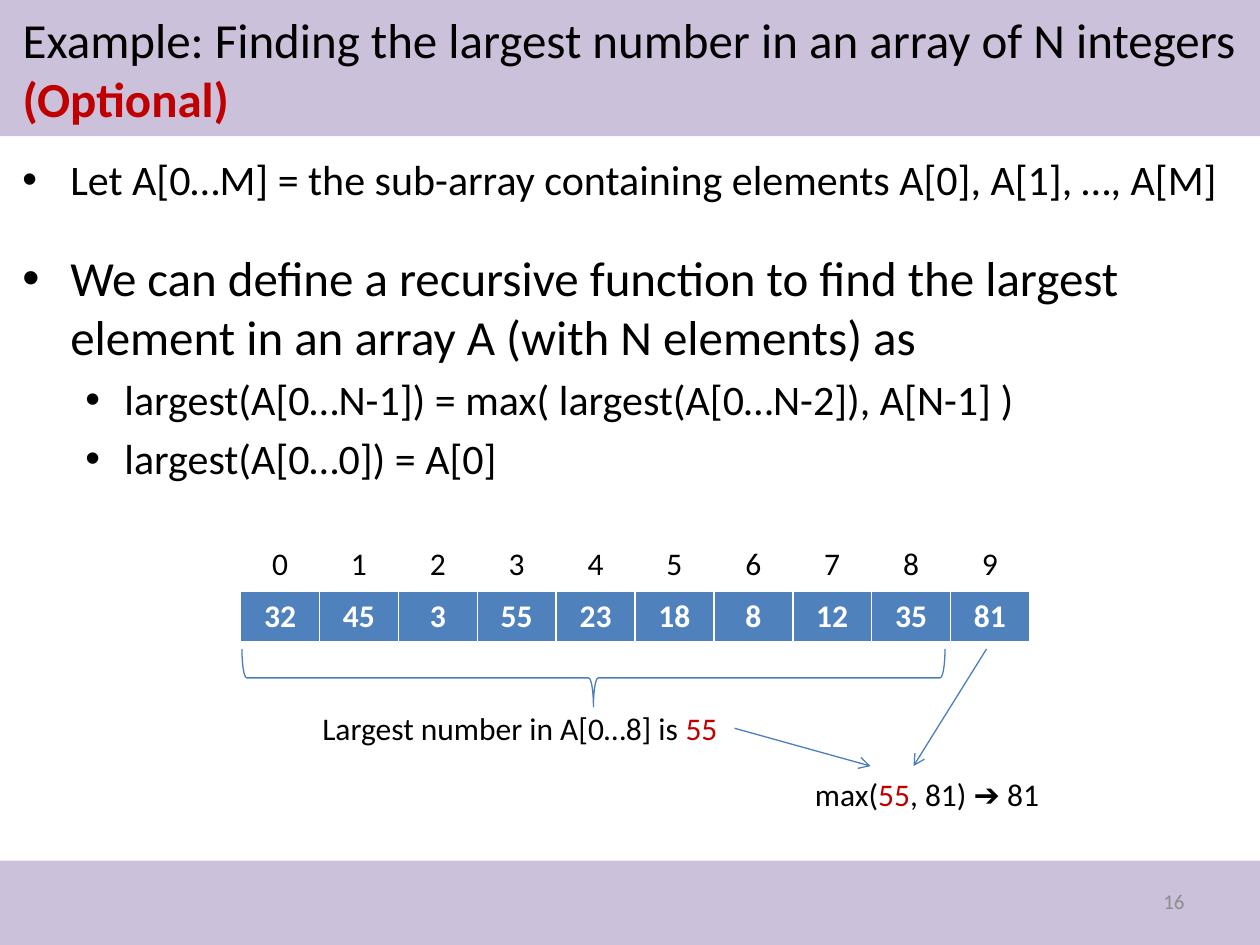
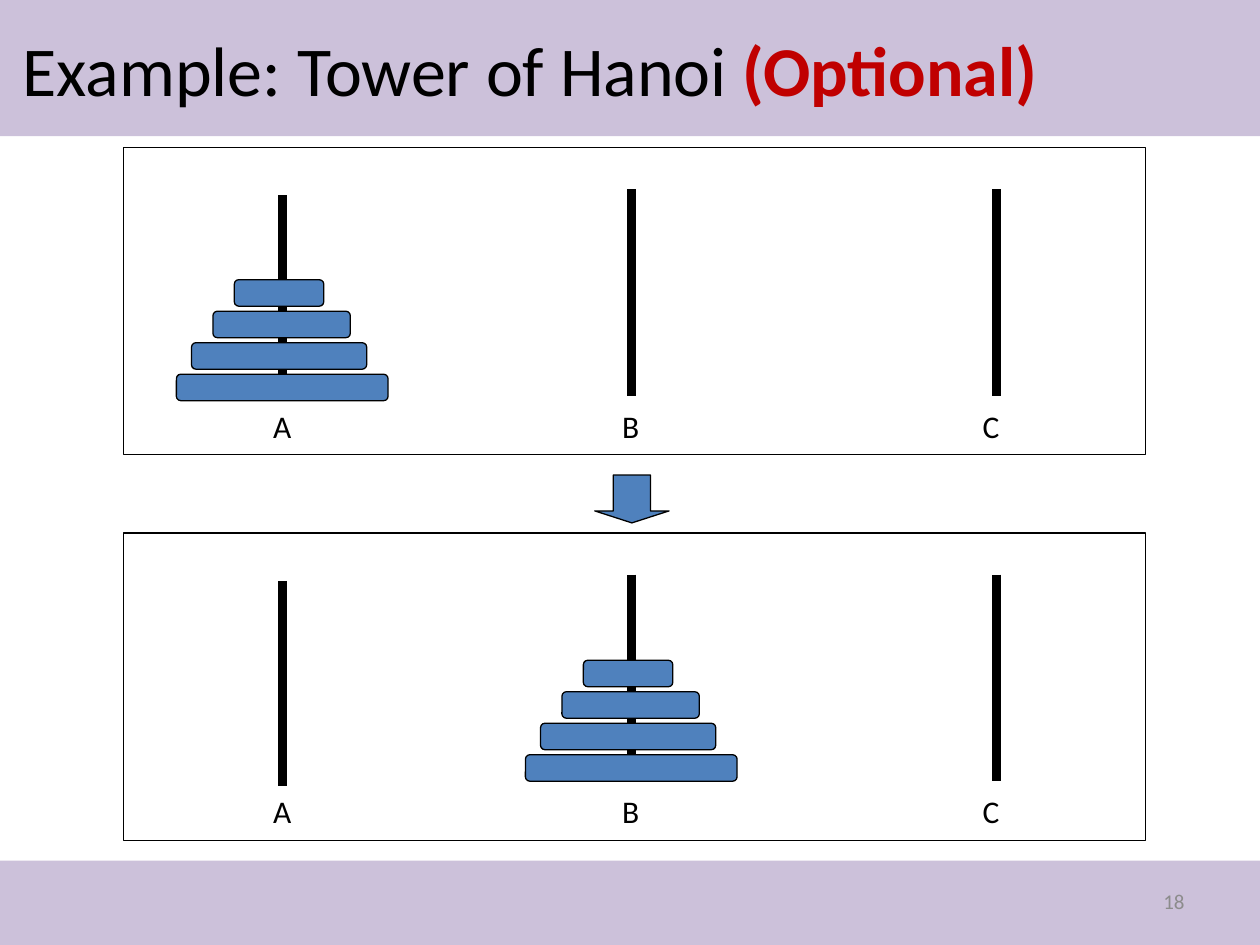
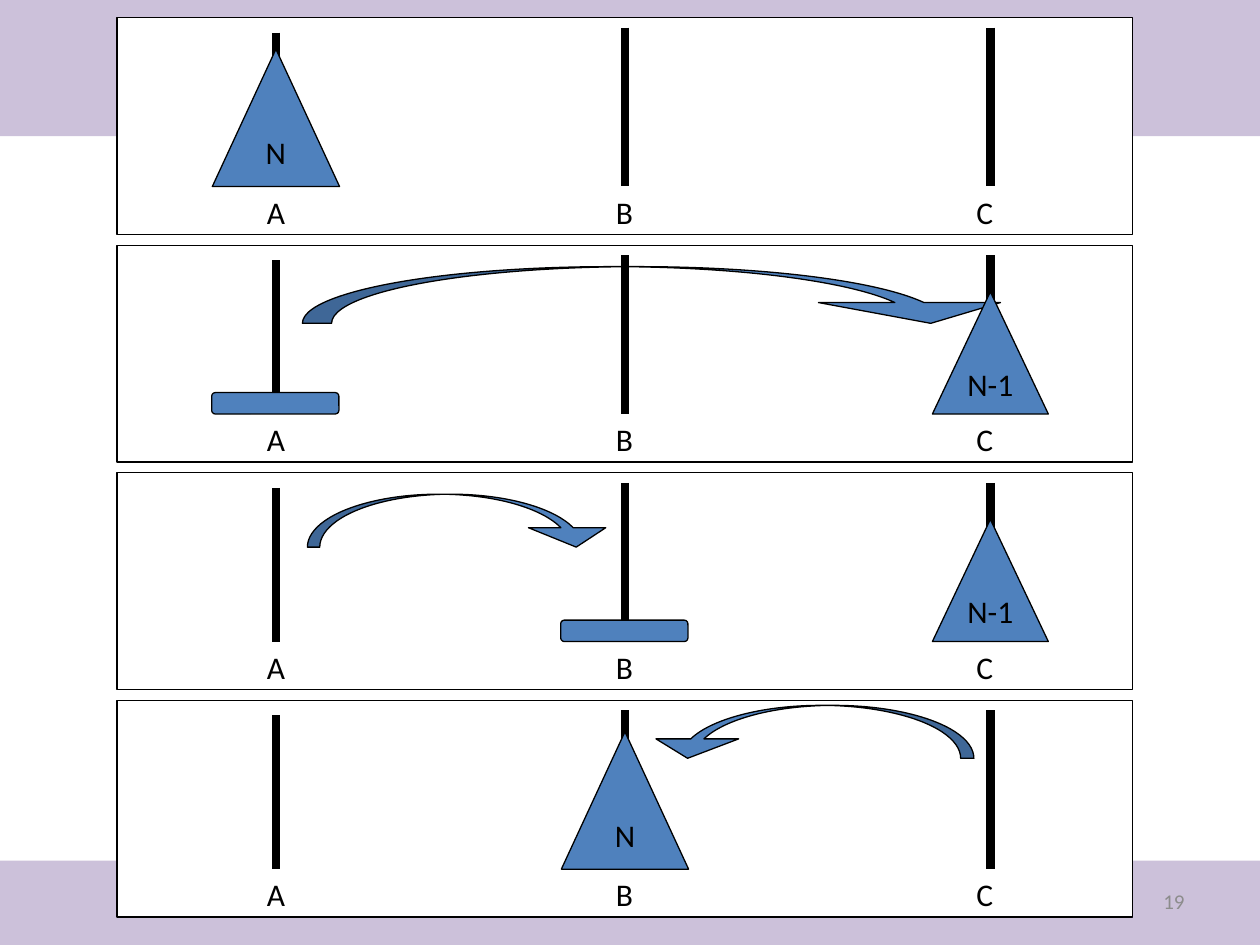
from dataclasses import dataclass
from typing import Any, NamedTuple, Optional

from lxml import etree
from pptx import Presentation
from pptx import util as u
from pptx.dml.color import RGBColor
from pptx.enum import shapes, text
from pptx.oxml.ns import qn

BLACK = RGBColor(0x00, 0x00, 0x00)
WHITE = RGBColor(0xFF, 0xFF, 0xFF)
LILAC = RGBColor(0xCC, 0xC1, 0xDA)
BLUE = RGBColor(0x4F, 0x81, 0xBD)
LINE_BLUE = RGBColor(0x4B, 0x7E, 0xBC)
RED = RGBColor(0xC0, 0x00, 0x00)
GREY = RGBColor(0x8C, 0x8C, 0x8C)

FONT = "Calibri"
THIN = 0.75
KIND = shapes.MSO_SHAPE
TITLE_ONLY, BLANK = 5, 6
PEG_NAMES = "ABC"
PEG_X = (1.26, 4.03, 6.93)
LABEL_X = (1.09, 3.86, 6.72)


class Box(NamedTuple):
    left: float
    top: float
    width: float
    height: float

    def lengths(self) -> list:
        return [u.Inches(value) for value in self]


class Span(NamedTuple):
    content: str
    color: RGBColor = BLACK
    bold: bool = False


class Bullet(NamedTuple):
    content: str
    size: int
    before: float
    margin: float
    hang: float


class Disk(NamedTuple):
    offset: float
    width: float


@dataclass
class Stage:
    frame: Box
    peg_tops: tuple
    peg_bottoms: tuple
    label_top: float
    fill: Optional[RGBColor] = None

    def peg_x(self, peg: str) -> float:
        return self.frame.left + PEG_X[PEG_NAMES.index(peg)]


@dataclass
class Move:
    pile: Optional[tuple] = None
    disk: Optional[str] = None
    arrow: Optional[Box] = None
    bends: tuple = ()
    flipped: bool = False


BANDS = (Box(0, 0, 10, 1.08), Box(0, 6.83, 10, 0.67))
BULLETS = (
    Bullet("Let A[0…M] = the sub-array containing elements A[0], A[1], …, A[M]", 24, 4.8, 0.38, 0.38),
    Bullet("We can define a recursive function to find the largest element in an array A (with N elements) as",
           28, 25, 0.38, 0.38),
    Bullet("largest(A[0…N-1]) = max( largest(A[0…N-2]), A[N-1] )", 24, 4.8, 0.81, 0.31),
    Bullet("largest(A[0…0]) = A[0]", 24, 4.8, 0.81, 0.31),
)
NUMBERS = (32, 45, 3, 55, 23, 18, 8, 12, 35, 81)
DISKS = (Disk(-0.38, 0.71), Disk(-0.55, 1.09), Disk(-0.72, 1.39), Disk(-0.84, 1.68))
PILE_SIZES = {"N": (1.01, 1.09), "N-1": (0.92, 0.97)}
MOVES = (
    Move(pile=("N", "A")),
    Move(pile=("N-1", "C"), disk="A", arrow=Box(2.4, 0.17, 5.71, 0.45), bends=(0.515, 3.212, 0.366)),
    Move(pile=("N-1", "C"), disk="B", arrow=Box(2.44, 0.17, 2.44, 0.42), bends=(0.234, 1.46, 0.366)),
    Move(pile=("N", "B"), arrow=Box(5.13, 0.04, 2.6, 0.42), bends=(0.25, 1.561, 0.366), flipped=True),
)


def write_spans(para: Any, spans: tuple, size: int) -> None:
    for span in spans:
        run = para.add_run()
        run.text = span.content
        run.font.color.rgb = span.color
        formats = {"name": FONT, "size": u.Pt(size), "bold": span.bold}
        for name, value in formats.items():
            setattr(run.font, name, value)


def format_frame(frame: Any, **formats: Any) -> Any:
    for name, value in formats.items():
        setattr(frame, name, value)
    return frame.paragraphs[0]


def add_label(page: Any, box: Box, *spans: Span) -> Any:
    label = page.shapes.add_textbox(*box.lengths())
    para = format_frame(label.text_frame, word_wrap=False,
                        auto_size=text.MSO_AUTO_SIZE.SHAPE_TO_FIT_TEXT)
    write_spans(para, spans, 18)
    return label


def add_shape(page: Any, kind: Any, box: Box, fill: Optional[RGBColor] = BLUE,
              line: Optional[RGBColor] = BLACK) -> Any:
    shape = page.shapes.add_shape(kind, *box.lengths())
    shape.shadow.inherit = False
    if fill is None:
        shape.fill.background()
    else:
        shape.fill.solid()
        shape.fill.fore_color.rgb = fill
    if line is None:
        shape.line.fill.background()
    else:
        shape.line.color.rgb = line
        shape.line.width = u.Pt(THIN)
    return shape


def add_line(page: Any, start: tuple, end: tuple, color: RGBColor, width: float, arrow: bool = False) -> Any:
    points = [u.Inches(value) for value in start + end]
    line = page.shapes.add_connector(shapes.MSO_CONNECTOR.STRAIGHT, *points)
    line.line.color.rgb = color
    line.line.width = u.Pt(width)
    properties = line.element.spPr
    if arrow:
        etree.SubElement(properties.find(qn("a:ln")), qn("a:tailEnd"), type="arrow")
    etree.SubElement(properties, qn("a:effectLst"))
    return line


def add_bands(deck: Any, page: Any) -> None:
    for index, box in enumerate(BANDS):
        band = add_shape(page, KIND.RECTANGLE, box, LILAC, None)
        band.element.nvSpPr.cNvPr.id = 20 + index
        deck.slide_master.shapes.element.insert(2 + index, band.element)


def add_page_number(page: Any, number: int) -> None:
    box = page.shapes.add_textbox(*Box(7.17, 6.95, 2.33, 0.4).lengths())
    para = format_frame(box.text_frame, word_wrap=True, vertical_anchor=text.MSO_ANCHOR.MIDDLE)
    para.alignment = text.PP_ALIGN.RIGHT
    write_spans(para, (Span(str(number), GREY),), 12)


def set_title(page: Any, content: str, size: int) -> None:
    title = page.shapes.title
    for name, value in zip(("left", "top", "width", "height"), Box(0.08, 0.08, 9.84, 0.92).lengths()):
        setattr(title, name, value)
    para = format_frame(title.text_frame, word_wrap=True, auto_size=text.MSO_AUTO_SIZE.NONE,
                        vertical_anchor=text.MSO_ANCHOR.MIDDLE)
    para.alignment = text.PP_ALIGN.LEFT
    write_spans(para, (Span(content), Span("(Optional)", RED, True)), size)


def add_bullets(page: Any) -> None:
    frame = page.shapes.add_textbox(*Box(0.08, 1.17, 9.77, 3.42).lengths()).text_frame
    para = format_frame(frame, word_wrap=True)
    for index, bullet in enumerate(BULLETS):
        if index:
            para = frame.add_paragraph()
        para.space_before = u.Pt(bullet.before)
        write_spans(para, (Span(bullet.content),), bullet.size)
        properties = para._p.get_or_add_pPr()
        properties.set("marL", str(u.Inches(bullet.margin)))
        properties.set("indent", str(-u.Inches(bullet.hang)))
        etree.SubElement(properties, qn("a:buFont"), typeface="Arial")
        etree.SubElement(properties, qn("a:buChar"), char="•")


def add_array(page: Any, top: float, values: Any, fill: RGBColor, color: RGBColor, header: bool) -> None:
    box = Box(1.91, top, 6.26, 0.4)
    table = page.shapes.add_table(1, len(values), *box.lengths()).table
    table.first_row = header
    table.horz_banding = False
    for column, cell, value in zip(table.columns, table.rows[0].cells, values):
        column.width = u.Inches(box.width / len(values))
        cell.fill.solid()
        cell.fill.fore_color.rgb = fill
        para = cell.text_frame.paragraphs[0]
        para.alignment = text.PP_ALIGN.CENTER
        write_spans(para, (Span(str(value), color, header),), 18)


def add_stage(page: Any, stage: Stage) -> None:
    add_shape(page, KIND.RECTANGLE, stage.frame, stage.fill)
    left, top = stage.frame.left, stage.frame.top
    for name, label_x, peg_top, peg_bottom in zip(PEG_NAMES, LABEL_X, stage.peg_tops, stage.peg_bottoms):
        x = stage.peg_x(name)
        add_line(page, (x, top + peg_top), (x, top + peg_bottom), BLACK, 5)
        add_label(page, Box(left + label_x, top + stage.label_top, 0.37, 0.4), Span(name))


def add_tower(page: Any, peg_x: float, top: float) -> None:
    for index, disk in enumerate(DISKS):
        add_shape(page, KIND.ROUNDED_RECTANGLE,
                  Box(peg_x + disk.offset, top + 0.25 * index, disk.width, 0.21))


def add_move(page: Any, stage: Stage, move: Move) -> None:
    top = stage.frame.top
    base = top + stage.label_top
    if move.disk:
        add_shape(page, KIND.ROUNDED_RECTANGLE, Box(stage.peg_x(move.disk) - 0.51, base - 0.17, 1.01, 0.17))
    if move.arrow:
        arrow = add_shape(page, KIND.CURVED_DOWN_ARROW, move.arrow._replace(top=top + move.arrow.top))
        for index, bend in enumerate(move.bends):
            arrow.adjustments[index] = bend
        if move.flipped:
            arrow.element.spPr.find(qn("a:xfrm")).set("flipH", "1")
    if move.pile:
        name, peg = move.pile
        width, height = PILE_SIZES[name]
        pile = add_shape(page, KIND.ISOSCELES_TRIANGLE,
                         Box(stage.peg_x(peg) - width / 2, base - height, width, height))
        para = format_frame(pile.text_frame, word_wrap=False, vertical_anchor=text.MSO_ANCHOR.MIDDLE)
        para.alignment = text.PP_ALIGN.CENTER
        write_spans(para, (Span(name),), 18)


def build_largest(page: Any) -> None:
    set_title(page, "Example: Finding the largest number in an array of N integers ", 28)
    add_page_number(page, 16)
    add_bullets(page)
    add_array(page, 4.69, NUMBERS, BLUE, WHITE, True)
    add_array(page, 4.28, range(len(NUMBERS)), WHITE, BLACK, False)
    brace = add_shape(page, KIND.LEFT_BRACE, Box(4.48, 2.59, 0.46, 5.58), None, LINE_BLUE)
    brace.rotation = 270
    label = add_label(page, Box(2.46, 5.58, 3.37, 0.4), Span("Largest number in A[0…8] is "), Span("55", RED))
    to_max = add_line(page, (5.83, 5.78), (6.91, 6.08), LINE_BLUE, THIN, True)
    to_max.begin_connect(label, 3)
    add_line(page, (7.83, 5.15), (7.25, 6.08), LINE_BLUE, THIN, True)
    add_label(page, Box(6.37, 6.1, 2.06, 0.4), Span("max("), Span("55", RED), Span(", 81) ➔ 81"))


def build_hanoi(page: Any) -> None:
    set_title(page, "Example: Tower of Hanoi ", 40)
    add_page_number(page, 18)
    for top, peg, tower_top in ((1.17, "A", 2.22), (4.23, "B", 5.24)):
        stage = Stage(Box(0.98, top, 8.11, 2.44), (0.38, 0.33, 0.33), (2.01, 1.97, 1.97), 2.01)
        add_stage(page, stage)
        add_tower(page, stage.peg_x(peg), tower_top)
    arrow = add_shape(page, KIND.DOWN_ARROW, Box(4.72, 3.77, 0.59, 0.38))
    arrow.adjustments[1] = 0.25


def build_moves(page: Any) -> None:
    for index, move in enumerate(MOVES):
        frame = Box(0.93, 0.14 + 1.806 * index, 8.06, 1.72)
        stage = Stage(frame, (0.12, 0.08, 0.08), (1.34,) * 3, 1.34, WHITE)
        add_stage(page, stage)
        add_move(page, stage, move)
    add_page_number(page, 19)


def main() -> None:
    deck = Presentation()
    deck.slide_width, deck.slide_height = u.Inches(10), u.Inches(7.5)
    builders = ((build_largest, TITLE_ONLY), (build_hanoi, TITLE_ONLY), (build_moves, BLANK))
    for index, (build, layout) in enumerate(builders):
        page = deck.slides.add_slide(deck.slide_layouts[layout])
        if index == 0:
            add_bands(deck, page)
        build(page)
    deck.save("out.pptx")


if __name__ == "__main__":
    main()
